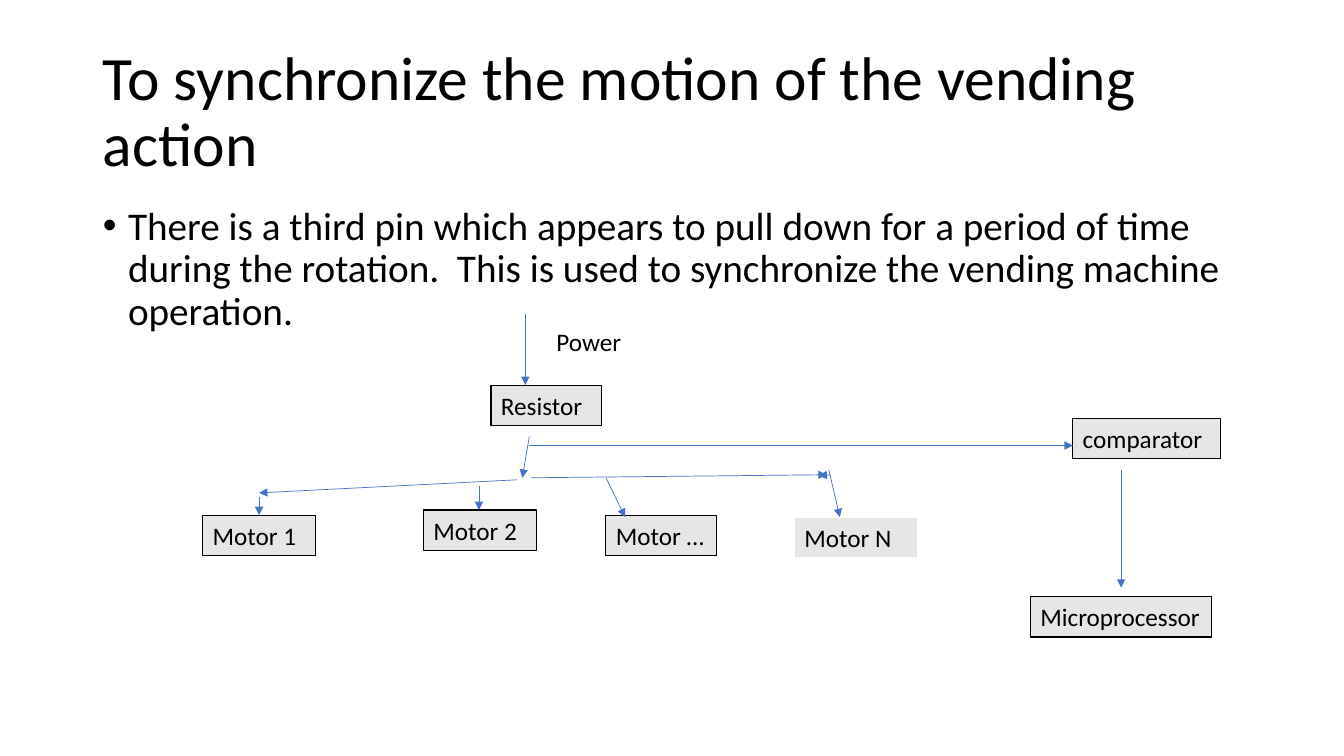
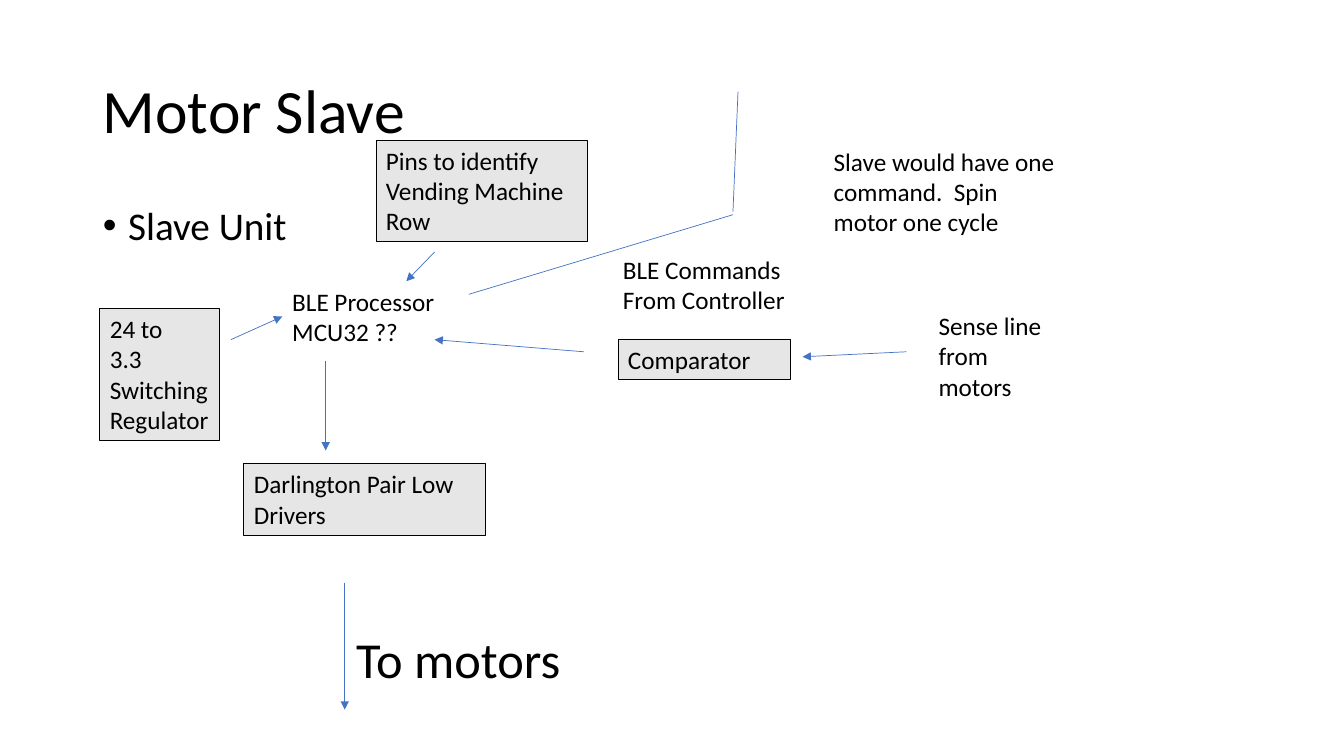
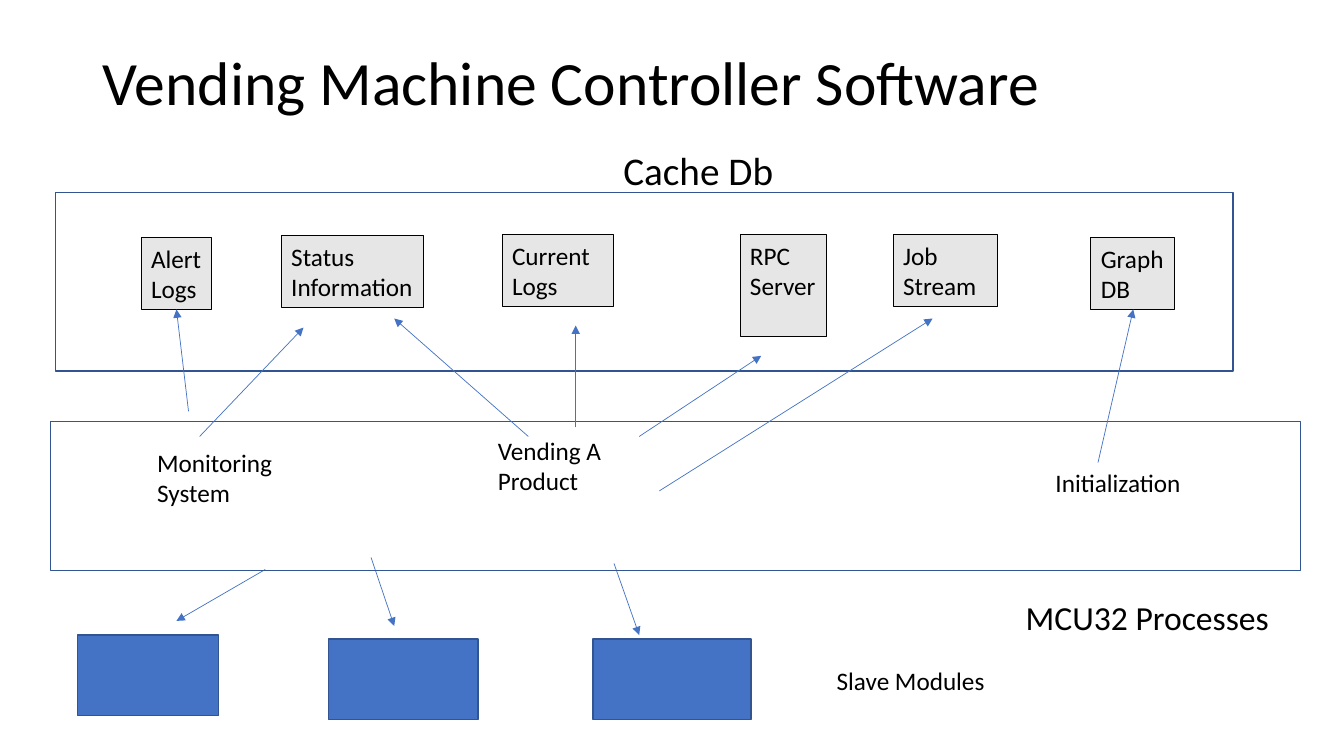
from dataclasses import dataclass

import pptx
import pptx.dml.color
import pptx.enum.shapes
import pptx.enum.text
import pptx.oxml.ns
import pptx.slide
import pptx.util
from lxml import etree

Inches, Pt = pptx.util.Inches, pptx.util.Pt
RGBColor = pptx.dml.color.RGBColor
qn = pptx.oxml.ns.qn
ALIGN = pptx.enum.text.PP_ALIGN
ANCHOR = pptx.enum.text.MSO_ANCHOR

BLACK = RGBColor(0x00, 0x00, 0x00)
WHITE = RGBColor(0xFF, 0xFF, 0xFF)
GREY = RGBColor(0xE7, 0xE6, 0xE6)
BLUE = RGBColor(0x44, 0x72, 0xC4)
DARK_BLUE = RGBColor(0x32, 0x54, 0x91)

FONT = "Calibri"
LINE_HEIGHT = 0.4
TWO_LINES = 0.71
THREE_LINES = 1.01
HEADING = {"line_spacing": 0.9, "alignment": ALIGN.LEFT}
BULLET = HEADING | {"space_before": Pt(10)}


def write(frame, text, size, paragraph_format, anchor=ANCHOR.TOP, wrap=True):
    """Fill a text frame; each line of the text is a paragraph."""
    frame.text = text
    frame_format = {
        "word_wrap": wrap,
        "vertical_anchor": anchor,
        "auto_size": pptx.enum.text.MSO_AUTO_SIZE.NONE,
    }
    for name, value in frame_format.items():
        setattr(frame, name, value)
    for paragraph in frame.paragraphs:
        for name, value in paragraph_format.items():
            setattr(paragraph, name, value)
        font = paragraph.font
        font.name, font.size = FONT, Pt(size)
        font.color.rgb = BLACK


def place(shape, left, top, width, height):
    position = {"left": left, "top": top, "width": width, "height": height}
    for name, value in position.items():
        setattr(shape, name, Inches(value))


def add_titled_slide(deck, title, title_height=1.45, bullet="", bullet_height=0.65):
    slide = deck.slides.add_slide(deck.slide_layouts[1 if bullet else 5])
    place(slide.shapes.title, 0.92, 0.4, 11.5, title_height)
    write(slide.shapes.title.text_frame, title, 44, HEADING, ANCHOR.MIDDLE)
    if bullet:
        body = slide.placeholders[1]
        place(body, 0.92, 2, 11.5, bullet_height)
        write(body.text_frame, bullet, 28, BULLET)
        for properties in body.element.iter(qn("a:pPr")):
            properties.set("marL", str(Inches(0.25)))
            properties.set("indent", str(-Inches(0.25)))
    return slide


@dataclass
class Region:
    """Part of a slide; all lengths in it count from its left top corner."""

    slide: pptx.slide.Slide
    left: float
    top: float

    def label(self, text, left, top, width, height=LINE_HEIGHT, size=18,
              align=ALIGN.LEFT, wrap=True):
        label = self.slide.shapes.add_textbox(
            Inches(self.left + left), Inches(self.top + top),
            Inches(width), Inches(height))
        write(label.text_frame, text, size, {"alignment": align}, wrap=wrap)
        return label

    def block(self, *parts, edge=BLACK, **options):
        """Add a label on grey with an edge."""
        block = self.label(*parts, **options)
        block.fill.solid()
        block.fill.fore_color.rgb = GREY
        block.line.color.rgb = edge
        block.line.width = Pt(0.75)

    def rectangle(self, left, top, width, height, fill=None):
        rectangle = self.slide.shapes.add_shape(
            pptx.enum.shapes.MSO_SHAPE.RECTANGLE,
            Inches(self.left + left), Inches(self.top + top),
            Inches(width), Inches(height))
        rectangle.shadow.inherit = False
        if fill is None:
            rectangle.fill.background()
        else:
            rectangle.fill.solid()
            rectangle.fill.fore_color.rgb = fill
        rectangle.line.color.rgb = DARK_BLUE
        rectangle.line.width = Pt(1)

    def lines(self, *ends, arrow=True):
        """Draw a line for each (from x, from y, to x, to y)."""
        for x1, y1, x2, y2 in ends:
            line = self.slide.shapes.add_connector(
                pptx.enum.shapes.MSO_CONNECTOR.STRAIGHT,
                Inches(self.left + x1), Inches(self.top + y1),
                Inches(self.left + x2), Inches(self.top + y2))
            line.line.color.rgb = BLUE
            line.line.width = Pt(0.5)
            properties = line.element.find(qn("p:spPr"))
            if arrow:
                stroke = properties.find(qn("a:ln"))
                etree.SubElement(stroke, qn("a:tailEnd"), type="triangle")
            etree.SubElement(properties, qn("a:effectLst"))


def add_motor_supply(region):
    region.block("Resistor", 2.87, 0.7, 1.1)
    region.block("Motor 1", 0.01, 1.99, 1.12)
    region.block("Motor 2", 2.2, 1.94, 1.12)
    region.block("Motor …", 4.01, 1.99, 1.1, wrap=False)
    region.block("Motor N", 5.88, 2.01, 1.22, edge=WHITE)
    region.label("Power", 3.42, 0.07, 1.66)
    region.lines(
        (3.21, 0, 3.21, 0.7),
        (3.25, 1.21, 3.18, 1.62),
        (3.13, 1.64, 0.57, 1.77),
        (0.57, 1.81, 0.57, 1.99),
        (2.75, 1.7, 2.75, 1.94),
        (3.27, 1.62, 6.2, 1.59),
        (6.22, 1.54, 6.33, 2.01),
        (4.01, 1.62, 4.2, 2.01),
        (6.23, 1.59, 6.12, 1.6))


def add_sync_path(region):
    region.block("comparator", 5.39, 0, 1.47)
    region.block("Microprocessor", 4.97, 1.77, 1.8, wrap=False)
    region.lines((0, 0.27, 5.39, 0.27), (5.87, 0.51, 5.87, 1.68))


def add_slave_processor(region):
    region.label("BLE Processor\nMCU32 ??", 1.81, 1.4, 2.45, TWO_LINES)
    region.block("Darlington Pair Low\nDrivers", 1.43, 3.21, 2.4, TWO_LINES)
    region.block("24 to\n3.3\nSwitching\nRegulator", 0, 1.67, 1.19, 1.31,
                 wrap=False)
    region.block("Pins to identify Vending Machine Row", 2.74, 0, 2.1,
                 THREE_LINES)
    region.label("To motors", 2.43, 4.79, 2.25, TWO_LINES, size=36,
                 align=ALIGN.CENTER, wrap=False)
    region.lines(
        (2.24, 2.19, 2.24, 3.08),
        (1.3, 1.98, 1.81, 1.75),
        (2.43, 4.39, 2.43, 5.65),
        (3.32, 1.11, 3.04, 1.4))


def add_sense_input(region):
    region.block("Comparator", 1.82, 0.34, 1.71)
    region.label("Sense line from\nmotors", 4.9, 0, 1.38, THREE_LINES)
    region.lines((4.68, 0.46, 3.65, 0.51), (1.48, 0.46, 0, 0.34))


def add_command_link(region):
    region.label("Slave would have one command.  Spin motor one cycle",
                 3.52, 0.49, 2.42, THREE_LINES)
    region.label("BLE Commands\nFrom Controller", 1.43, 1.56, 1.82, TWO_LINES,
                 wrap=False)
    region.lines((0, 2.01, 2.62, 1.22), (2.62, 1.19, 2.67, 0), arrow=False)


def add_database(region):
    region.rectangle(0, 0, 11.68, 1.77)
    region.label("Cache Db", 5.58, -0.51, 1.59, 0.57, size=28,
                 align=ALIGN.CENTER, wrap=False)
    region.block("Alert\nLogs", 0.85, 0.45, 0.7, TWO_LINES, wrap=False)
    for store, left, top, width, height in (
            ("Status\nInformation", 2.24, 0.43, 1.41, TWO_LINES),
            ("Current\nLogs", 4.43, 0.42, 1.11, TWO_LINES),
            ("RPC\nServer", 6.79, 0.42, 0.86, THREE_LINES),
            ("Job\nStream", 8.31, 0.42, 1.03, TWO_LINES),
            ("Graph\nDB", 10.27, 0.45, 0.83, TWO_LINES)):
        region.block(store, left, top, width, height)


def add_processes(region):
    region.rectangle(0, 0, 12.4, 1.48)
    region.label("Monitoring\nSystem", 0.96, 0.21, 1.35, TWO_LINES, wrap=False)
    region.label("Vending A\nProduct", 4.34, 0.09, 1.98, TWO_LINES)
    region.label("Initialization", 9.87, 0.41, 1.61)
    region.label("MCU32 Processes", 9.66, 1.69, 2.44, 0.5, size=24,
                 align=ALIGN.CENTER, wrap=False)
    region.lines(
        (1.48, 0.15, 2.51, -0.93),
        (1.37, -0.1, 1.25, -1.11),
        (4.74, 0.15, 3.41, -1.02),
        (5.21, 0.06, 5.21, -0.95),
        (5.84, 0.15, 7.05, -0.65),
        (6.04, 0.69, 8.75, -1.02),
        (10.39, 0.41, 10.74, -1.11))


def add_slave_modules(region):
    for left, top, width in ((0, 0.77, 1.4), (2.49, 0.81, 1.48),
                             (5.11, 0.81, 1.57)):
        region.rectangle(left, top, width, 0.8, BLUE)
    region.label("Slave Modules", 7.43, 1.02, 1.94)
    region.lines(
        (1.86, 0.12, 0.98, 0.63),
        (2.91, 0, 3.14, 0.68),
        (5.32, 0.06, 5.57, 0.77))


def main():
    deck = pptx.Presentation()
    deck.slide_width, deck.slide_height = Inches(13.33), Inches(7.5)

    sync = add_titled_slide(
        deck, "To synchronize the motion of the vending action",
        bullet="There is a third pin which appears to pull down for a period "
               "of time during the rotation.  This is used to synchronize the "
               "vending machine operation.",
        bullet_height=1.64)
    add_motor_supply(Region(sync, 2, 3.12))
    add_sync_path(Region(sync, 5.25, 4.15))

    slave = add_titled_slide(deck, "Motor Slave", bullet="Slave Unit")
    add_slave_processor(Region(slave, 0.99, 1.39))
    add_sense_input(Region(slave, 4.31, 3.03))
    add_command_link(Region(slave, 4.65, 0.91))

    software = add_titled_slide(
        deck, "Vending Machine Controller Software", title_height=0.9)
    add_slave_modules(Region(software, 0.77, 5.53))
    add_database(Region(software, 0.55, 1.91))
    add_processes(Region(software, 0.5, 4.18))

    deck.save("out.pptx")


if __name__ == "__main__":
    main()
